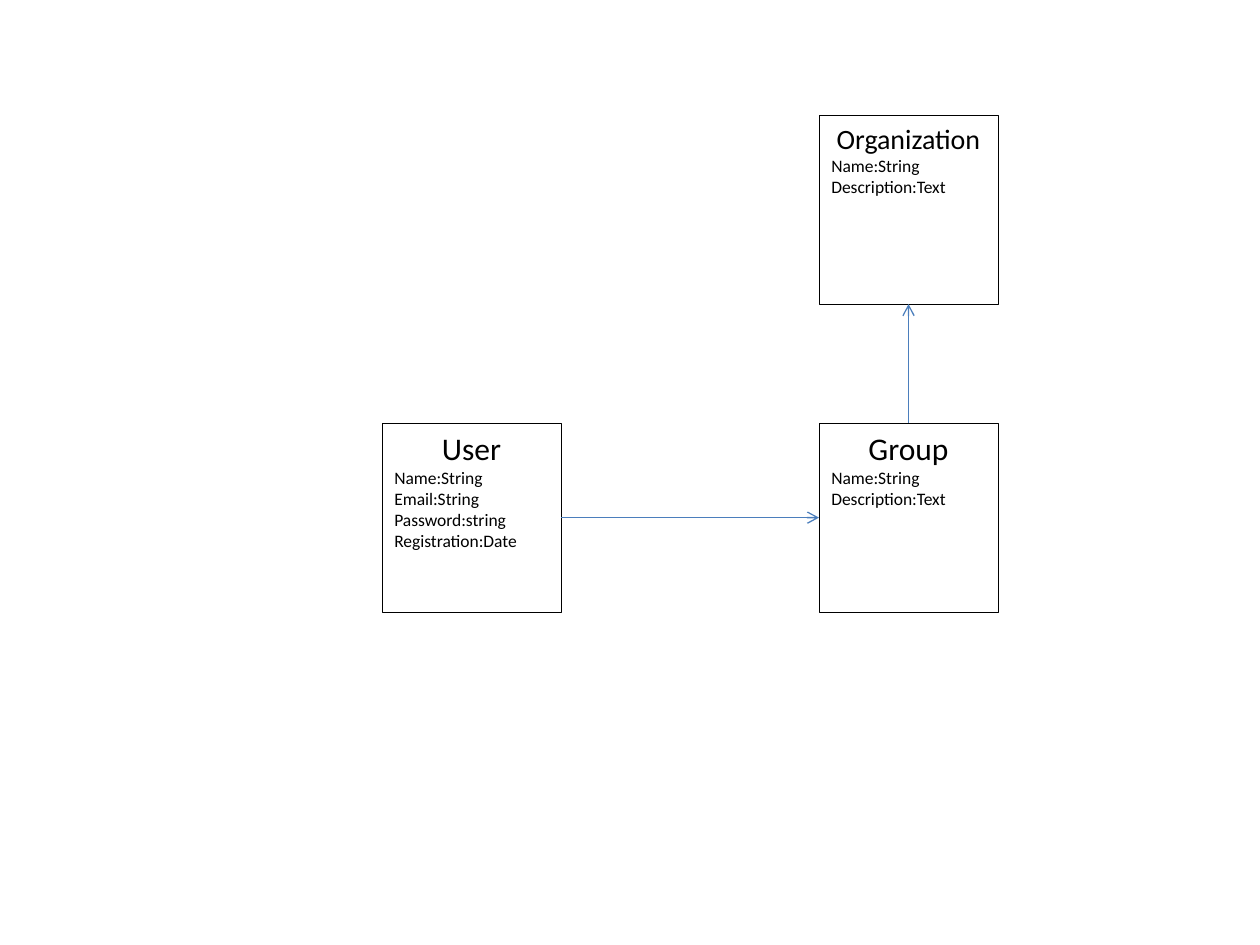
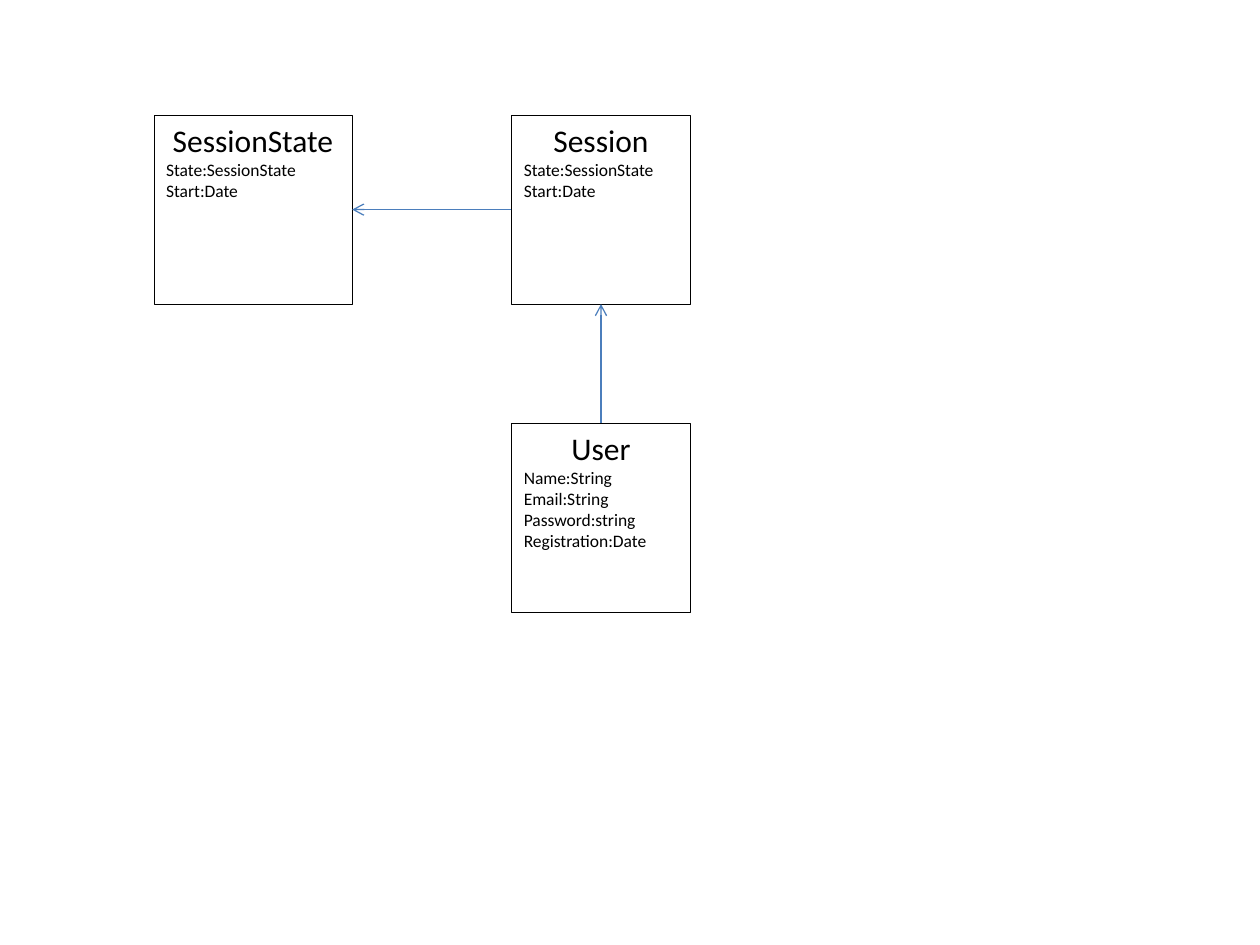
from lxml.etree import SubElement
from pptx import Presentation
from pptx.dml.color import RGBColor
from pptx.enum.shapes import MSO_CONNECTOR as Connector, MSO_SHAPE as Shape
from pptx.enum.text import MSO_ANCHOR as Anchor, PP_ALIGN as Align
from pptx.oxml.ns import qn
from pptx.util import Cm, Pt

COLORS = {"paper": "FFFFFF", "ink": "000000", "arrow": "4B7EBC"}
FONT = "Calibri"
BOX_WIDTH, BOX_HEIGHT = 3.61, 3.81
UPPER_ROW, LOWER_ROW = 2.32, 8.53
TOP, LEFT, BOTTOM, RIGHT = range(4)  # connection sites of a rectangle

USER_FIELDS = ["Name:String", "Email:String", "Password:string", "Registration:Date"]
NAMED_FIELDS = ["Name:String", "Description:Text"]
SESSION_FIELDS = ["State:SessionState", "Start:Date"]


def color(name):
    """Return the palette colour with this name."""
    return RGBColor.from_string(COLORS[name])


def add_class(slide, name, fields, left, top, width=BOX_WIDTH, name_size=18):
    """Draw a class box with a centred name above its fields; lengths in cm."""
    box = slide.shapes.add_shape(Shape.RECTANGLE, Cm(left), Cm(top), Cm(width), Cm(BOX_HEIGHT))
    box.shadow.inherit = False
    box.fill.solid()
    box.fill.fore_color.rgb = color("paper")
    box.line.color.rgb = color("ink")
    box.line.width = Pt(0.25)

    frame = box.text_frame
    frame.word_wrap = True
    frame.vertical_anchor = Anchor.TOP
    frame.text = "\n".join([name, *fields])
    for row, paragraph in enumerate(frame.paragraphs):
        paragraph.alignment = Align.LEFT if row else Align.CENTER
        font = paragraph.runs[0].font
        font.name = FONT
        font.size = Pt(10 if row else name_size)
        font.color.rgb = color("ink")
    return box


def add_reference(slide, source, source_site, target, target_site):
    """Join two class boxes with an arrow that points at the target."""
    arrow = slide.shapes.add_connector(Connector.STRAIGHT, 0, 0, 0, 0)
    arrow.begin_connect(source, source_site)
    arrow.end_connect(target, target_site)
    arrow.line.color.rgb = color("arrow")
    arrow.line.width = Pt(0.75)
    properties = arrow._element.spPr
    SubElement(properties.find(qn("a:ln")), qn("a:tailEnd"), type="arrow")
    SubElement(properties, qn("a:effectLst"))


def build_membership(slide):
    """Show that a user belongs to a group and a group to an organization."""
    group_left = 16.51
    user = add_class(slide, "User", USER_FIELDS, 7.7, LOWER_ROW)
    group = add_class(slide, "Group", NAMED_FIELDS, group_left, LOWER_ROW)
    organization = add_class(slide, "Organization", NAMED_FIELDS, group_left, UPPER_ROW,
                             name_size=16)
    add_reference(slide, group, TOP, organization, BOTTOM)
    add_reference(slide, user, RIGHT, group, LEFT)


def build_session(slide):
    """Show that a user has a session and a session has a state."""
    session_left = 10.31
    user = add_class(slide, "User", USER_FIELDS, session_left, LOWER_ROW)
    session = add_class(slide, "Session", SESSION_FIELDS, session_left, UPPER_ROW)
    state = add_class(slide, "SessionState", SESSION_FIELDS, 3.1, UPPER_ROW, width=4)
    add_reference(slide, session, LEFT, state, RIGHT)
    add_reference(slide, user, TOP, session, BOTTOM)


deck = Presentation()
deck.slide_width, deck.slide_height = Cm(25.4), Cm(19.05)
blank_layout = deck.slide_layouts.get_by_name("Blank")
for build in (build_membership, build_session):
    build(deck.slides.add_slide(blank_layout))
deck.save("out.pptx")
